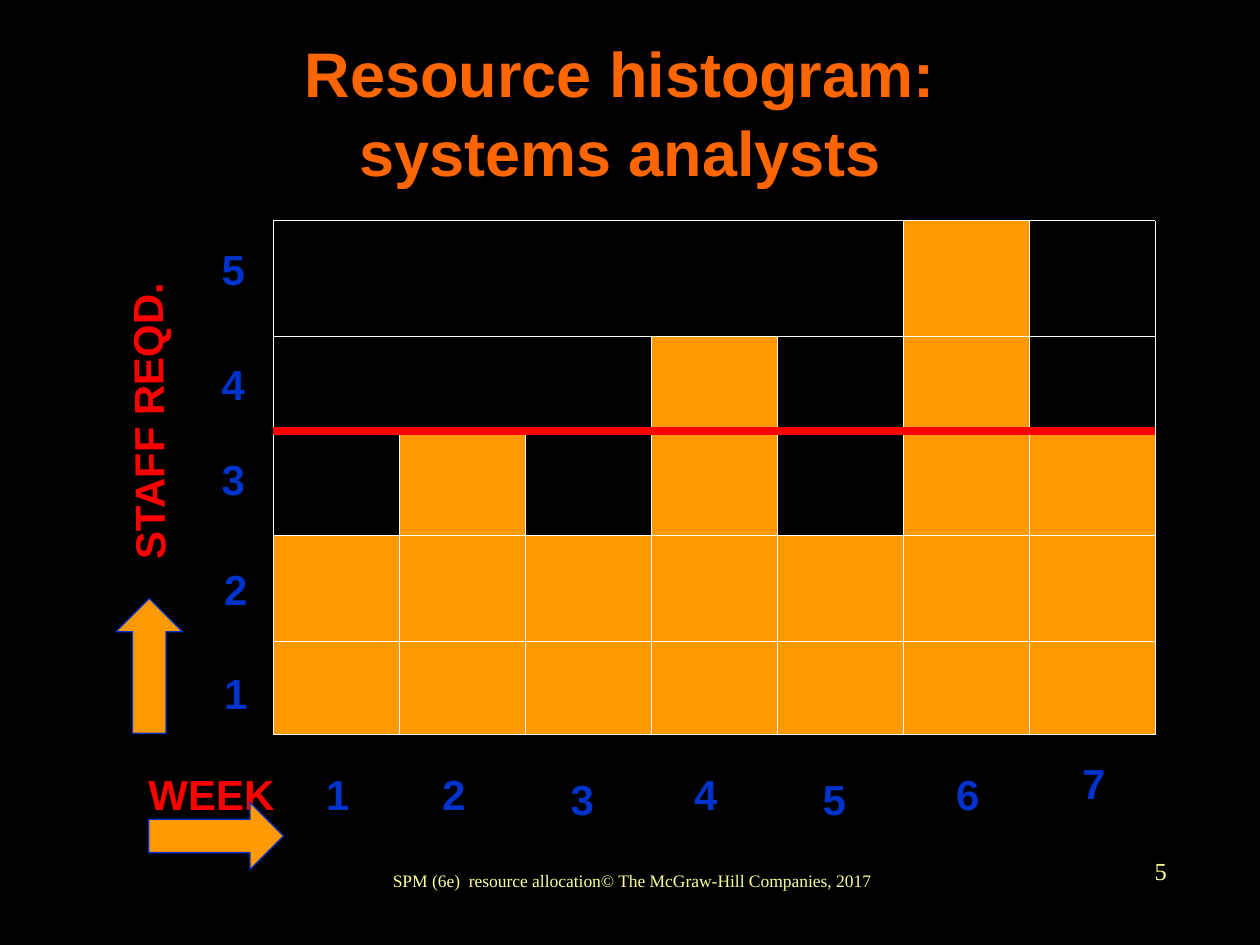
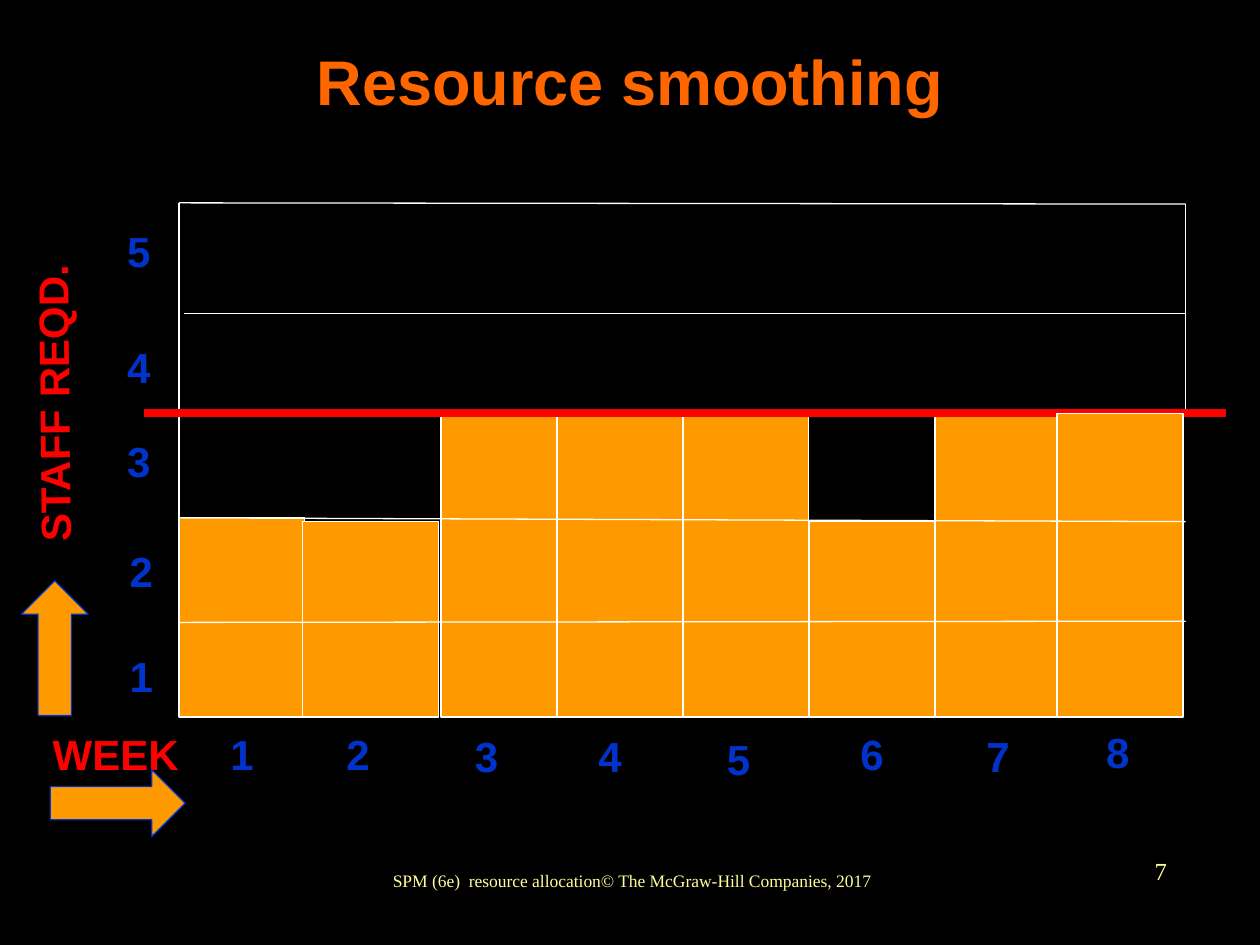
"""Build two resource allocation slides: a staffing histogram and its smoothed version."""
from pptx import Presentation
from pptx.dml.color import RGBColor
from pptx.enum.shapes import MSO_CONNECTOR as Connector, MSO_SHAPE as Shape
from pptx.enum.text import MSO_ANCHOR as Anchor, MSO_AUTO_SIZE as AutoSize, PP_ALIGN as Align
from pptx.oxml.xmlchemy import OxmlElement
from pptx.util import Emu, Pt

BLACK = RGBColor(0x00, 0x00, 0x00)
WHITE = RGBColor(0xFF, 0xFF, 0xFF)
ORANGE = RGBColor(0xFF, 0x99, 0x00)
TITLE_ORANGE = RGBColor(0xFF, 0x66, 0x00)
RED = RGBColor(0xFF, 0x00, 0x00)
BLUE = RGBColor(0x00, 0x33, 0xCC)
CREAM = RGBColor(0xFF, 0xFF, 0x99)

EMU_PER_PX = 9144
TITLE = {"name": "Arial", "size": Pt(36), "bold": True, "color": TITLE_ORANGE}
AXIS_NAME = {"name": "Arial", "size": Pt(24), "bold": True, "color": RED}
AXIS_NUMBER = {**AXIS_NAME, "color": BLUE}
FOOTER = {"name": "Times New Roman", "size": Pt(10), "bold": False, "color": CREAM}
PAGE_NUMBER = {**FOOTER, "size": Pt(14)}
FOOTER_TEXT = "SPM (6e)  resource allocation© The McGraw-Hill Companies, 2017"

STAFF_NUMBERS = [(168, 525), (168, 442), (166, 355), (166, 280), (166, 188)]


def px(*lengths):
    return [Emu(length * EMU_PER_PX) for length in lengths]


class Deck:
    """Hold the shared style and the slide being drawn."""

    def __init__(self):
        self.presentation = Presentation()
        self.presentation.slide_width, self.presentation.slide_height = px(1000, 750)
        background = self.presentation.slide_master.background.fill
        background.solid()
        background.fore_color.rgb = BLACK
        self.slide = None

    def start_slide(self, title, title_box, page):
        layout = self.presentation.slide_layouts.get_by_name("Title Only")
        self.slide = self.presentation.slides.add_slide(layout)
        placeholder = self.slide.shapes.title
        placeholder.left, placeholder.top, placeholder.width, placeholder.height = px(*title_box)
        self.fill_frame(placeholder.text_frame, title, TITLE, Align.CENTER, Anchor.MIDDLE)
        placeholder.text_frame.paragraphs[0].line_spacing = 1.05
        self.text(FOOTER_TEXT, (343, 674, 317, 50), FOOTER, Align.CENTER, Anchor.MIDDLE)
        self.text(str(page), (728, 666, 208, 50), PAGE_NUMBER, Align.RIGHT, Anchor.MIDDLE)

    def fill_frame(self, frame, text, style, align, anchor):
        frame.text = text
        settings = {"auto_size": AutoSize.NONE, "word_wrap": True, "vertical_anchor": anchor}
        for name, value in settings.items():
            setattr(frame, name, value)
        paragraph = frame.paragraphs[0]
        paragraph.alignment = align
        for run in paragraph.runs:
            for name, value in style.items():
                if name == "color":
                    run.font.color.rgb = value
                else:
                    setattr(run.font, name, value)

    def text(self, text, box, style, align=Align.LEFT, anchor=Anchor.TOP, rotation=0):
        shape = self.slide.shapes.add_textbox(*px(*box))
        self.fill_frame(shape.text_frame, text, style, align, anchor)
        shape.text_frame.word_wrap = False
        shape.rotation = rotation

    def preset(self, kind, box, line_color):
        shape = self.slide.shapes.add_shape(kind, *px(*box))
        shape.shadow.inherit = False
        shape.fill.solid()
        shape.fill.fore_color.rgb = ORANGE
        shape.line.color.rgb = line_color
        shape.line.width = Pt(0.75)

    def bar(self, left, top, bottom, width=100):
        self.preset(Shape.RECTANGLE, (left, top, width, bottom - top), WHITE)

    def line(self, start, end, color=WHITE, width=0.75):
        connector = self.slide.shapes.add_connector(Connector.STRAIGHT, *px(*start, *end))
        connector.line.color.rgb = color
        connector.line.width = Pt(width)
        connector._element.spPr.append(OxmlElement("a:effectLst"))

    def numbers(self, positions):
        for number, (left, top) in enumerate(positions, 1):
            self.text(str(number), (left, top, 38, 50), AXIS_NUMBER)

    def staff_axis(self, shift_x=0, shift_y=0):
        self.numbers([(left + shift_x, top + shift_y) for left, top in STAFF_NUMBERS])
        self.preset(Shape.UP_ARROW, (92 + shift_x, 475 + shift_y, 53, 107), BLUE)
        self.text("STAFF REQD.", (shift_x - 4, 308 + shift_y, 242, 50), AXIS_NAME, rotation=269.4)

    def week_axis(self, name_at, arrow_at, positions):
        self.text("WEEK", (*name_at, 120, 50), AXIS_NAME)
        self.preset(Shape.RIGHT_ARROW, (*arrow_at, 107, 53), BLUE)
        self.numbers(positions)


def draw_histogram(deck):
    deck.start_slide("Resource histogram:\vsystems analysts", (67, 25, 850, 125), 5)
    left, right, bottom = 217, 917, 583
    level_tops = {1: 509, 2: 425, 3: 342, 4: 267, 5: 175}
    staff_by_week = [2, 3, 2, 4, 2, 5, 3]
    for week, staff in enumerate(staff_by_week):
        deck.bar(left + week * 100, level_tops[staff], bottom)
    for level in (1, 2, 4, 5):
        deck.line((left, level_tops[level]), (right, level_tops[level]))
    deck.line((left, 434), (left, level_tops[5]))
    deck.line((right, level_tops[3]), (right, level_tops[5]))
    deck.line((left, level_tops[3]), (right, level_tops[3]), RED, 4.5)
    deck.week_axis((108, 605), (118, 637), [
        (249, 605), (341, 605), (443, 609), (541, 605), (643, 609), (749, 605), (849, 596)])
    deck.staff_axis()


def draw_smoothing(deck):
    deck.start_slide("Resource smoothing", (75, 0, 850, 125), 7)
    left, right, bottom, limit = 142, 941, 569, 328
    deck.week_axis((32, 573), (40, 611), [
        (173, 573), (265, 573), (367, 575), (465, 575),
        (567, 577), (673, 573), (773, 575), (868, 572)])
    for bar_left, top in [(350, limit), (442, limit), (542, limit), (642, 414), (742, limit), (left, 411)]:
        deck.bar(bar_left, top, bottom)
    deck.bar(240, 414, bottom, width=108)
    deck.line((146, 249), (right, 249))
    deck.line((left, 161), (right, 162))
    deck.line((left, 419), (left, 161))
    deck.line((right, limit), (right, 162))
    deck.line((114, limit), (973, limit), RED, 4.5)
    deck.staff_axis(-75, -14)
    deck.bar(839, limit, bottom)
    deck.line((left, 411), (right, 414))
    deck.line((left, 494), (right, 493))


def main():
    deck = Deck()
    draw_histogram(deck)
    draw_smoothing(deck)
    deck.presentation.save("out.pptx")


if __name__ == "__main__":
    main()
